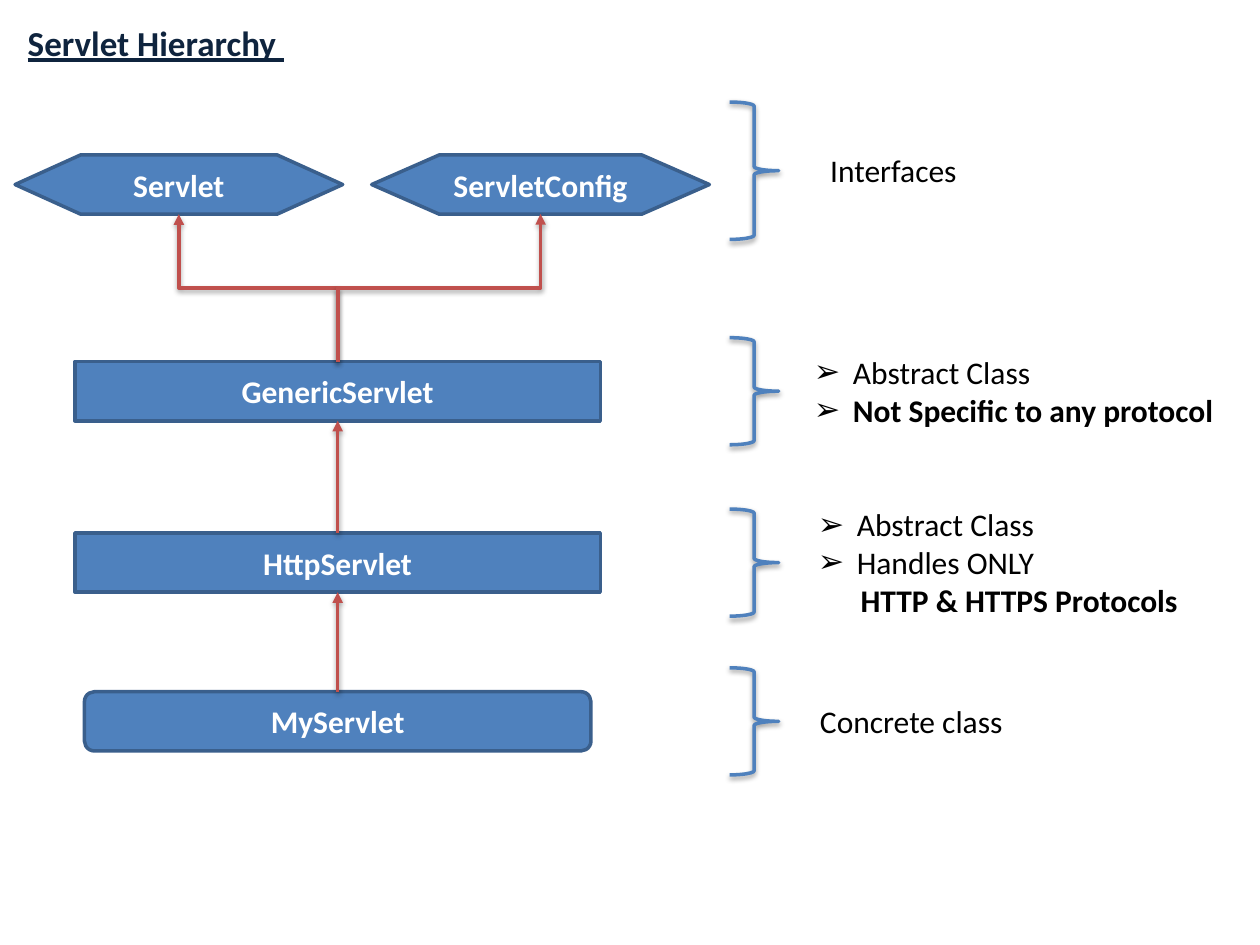
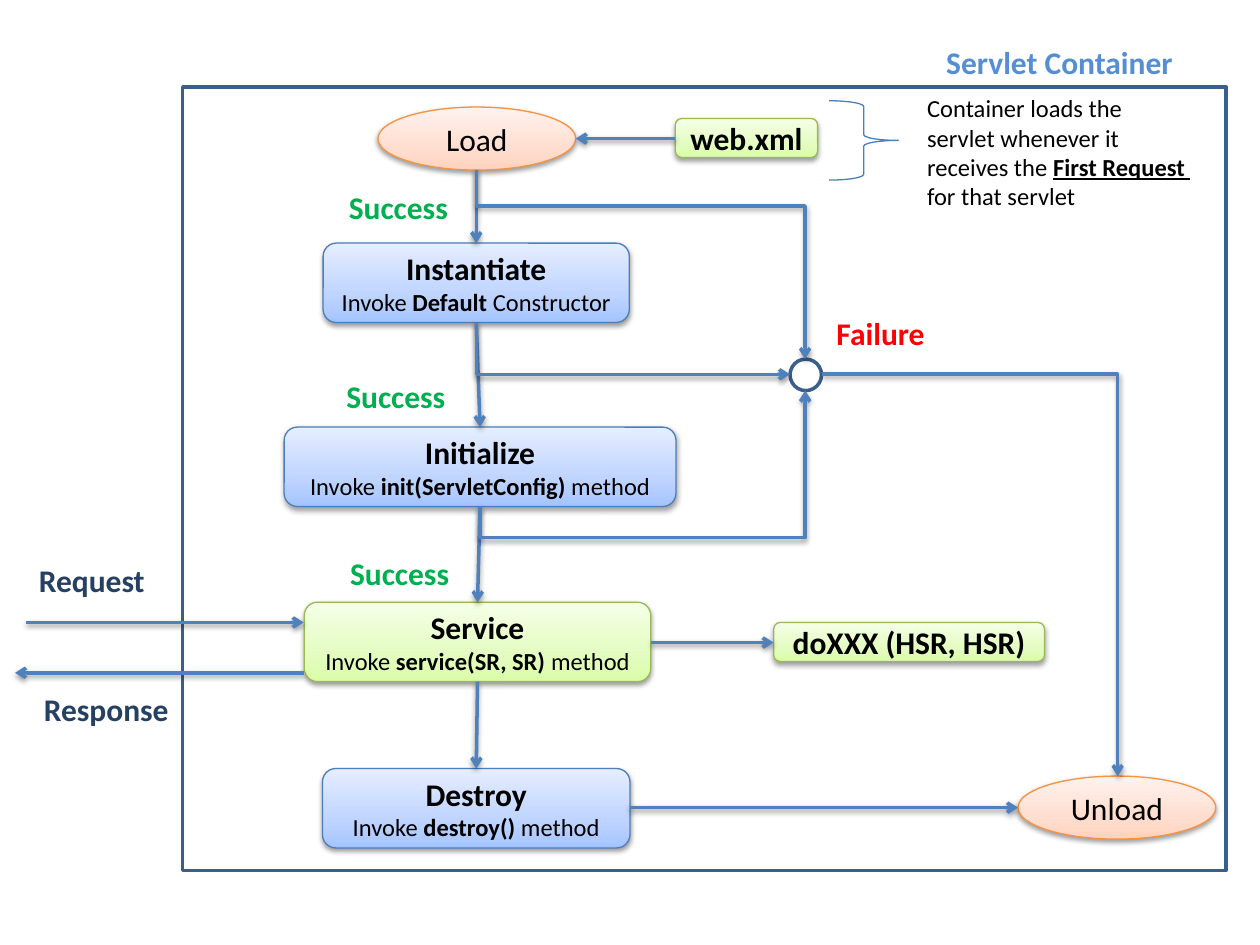
from copy import deepcopy
from dataclasses import dataclass
from typing import NamedTuple

from lxml.etree import SubElement
from pptx import Presentation
from pptx.dml.color import RGBColor
from pptx.enum.shapes import MSO_CONNECTOR, MSO_SHAPE
from pptx.enum.text import MSO_ANCHOR, MSO_AUTO_SIZE, PP_ALIGN
from pptx.oxml.ns import qn
from pptx.util import Inches, Pt

RECT, ROUND, OVAL = MSO_SHAPE.RECTANGLE, MSO_SHAPE.ROUNDED_RECTANGLE, MSO_SHAPE.OVAL
HEX, SOFT = MSO_SHAPE.FLOWCHART_PREPARATION, MSO_SHAPE.FLOWCHART_ALTERNATE_PROCESS
DOT, BRACE = MSO_SHAPE.FLOWCHART_CONNECTOR, MSO_SHAPE.RIGHT_BRACE
LINE, ELBOW = MSO_CONNECTOR.STRAIGHT, MSO_CONNECTOR.ELBOW
LEFT, CENTER = PP_ALIGN.LEFT, PP_ALIGN.CENTER
TOP, MIDDLE = MSO_ANCHOR.TOP, MSO_ANCHOR.MIDDLE
FIXED = MSO_AUTO_SIZE.NONE

# The slide is a grid of 100 columns and 75 rows
COLS, ROWS = 100, 75
CELL = Inches(0.1)


class Box(NamedTuple):
    x: float
    y: float
    w: float
    h: float


class Tint(NamedTuple):
    stops: tuple[str, str, str]
    edge: str


@dataclass(frozen=True)
class Theme:
    font: str = "Calibri"
    head: int = 20
    body: int = 18
    small: int = 14
    thick: float = 2
    thin: float = 0.75
    ink: str = "000000"
    white: str = "FFFFFF"
    navy: str = "0F243E"
    steel: str = "254061"
    sky: str = "558ED5"
    blue: str = "4F81BD"
    edge: str = "3A5F8C"
    red: str = "C0504D"
    good: str = "00B050"
    bad: str = "FF0000"
    cool: Tint = Tint(("A4C4FF", "BFD4FF", "E6EEFF"), "4B7EBC")
    warm: Tint = Tint(("FFD2BD", "FFDED0", "FFF2ED"), "F69240")
    lime: Tint = Tint(("DAFDA7", "E4FCC2", "F5FFE7"), "98B955")


T = Theme()


@dataclass(frozen=True)
class Text:
    """One paragraph; parts between asterisks are bold."""
    words: str
    size: int = T.body
    color: str = T.ink
    under: bool = False


@dataclass(frozen=True)
class Node:
    form: MSO_SHAPE
    box: Box
    fill: str | Tint | None = None
    texts: tuple[Text, ...] = ()
    edge: str = T.edge
    width: float = T.thick
    shade: bool = False


@dataclass(frozen=True)
class Link:
    start: tuple[float, float]
    end: tuple[float, float]
    color: str = T.blue
    tip: str = "arrow"
    bend: float | None = None  # share of the way where the middle leg lies
    corner: str = ""           # "down" or "across": the first of two legs


def cells(*nums: float) -> list[int]:
    return [round(n * CELL) for n in nums]


def rgb(code: str) -> RGBColor:
    return RGBColor.from_string(code)


# Text
def write(para, text: Text, align=LEFT) -> None:
    para.alignment = align
    para.space_before = Pt(0)
    for i, part in enumerate(text.words.split("*")):
        if part:
            run = para.add_run()
            run.text = part
            run.font.bold = i % 2 == 1
            run.font.underline = text.under and i % 2 == 1
    for font in (para.font, *(run.font for run in para.runs)):
        font.name, font.size = T.font, Pt(text.size)
        font.color.rgb = rgb(text.color)


def fill_text(frame, texts, align=LEFT, anchor=TOP, wrap=False) -> None:
    frame.word_wrap, frame.auto_size = wrap, FIXED
    frame.vertical_anchor = anchor
    for i, text in enumerate(texts):
        write(frame.add_paragraph() if i else frame.paragraphs[0], text, align)


def label(slide, box: Box, *texts: Text) -> None:
    fill_text(slide.shapes.add_textbox(*cells(*box)).text_frame, texts)


def place(holder, box: Box) -> None:
    holder.left, holder.top, holder.width, holder.height = cells(*box)


def title(slide, box: Box, text: Text) -> None:
    place(slide.shapes.title, box)
    fill_text(slide.shapes.title.text_frame, [text])


def bullets(holder, box: Box, items: list[str], last: str = "") -> None:
    """A list of marked items, with an optional unmarked line under them."""
    place(holder, box)
    frame = holder.text_frame
    fill_text(frame, [Text(item) for item in items + [last] if item])
    for i, para in enumerate(frame.paragraphs):
        marked = i < len(items)
        props = para._p.get_or_add_pPr()
        props.set("marL", str(Inches(0.31 if marked else 0.34)))
        props.set("indent", str(Inches(-0.31 if marked else 0)))
        mark = SubElement(props, qn("a:buChar" if marked else "a:buNone"))
        if marked:
            mark.set("char", "➢")
        props.find(qn("a:defRPr")).addprevious(mark)


# Shapes and arrows
def shadow(item, on: bool) -> None:
    props = item._element.spPr
    for old in props.findall(qn("a:effectLst")):
        props.remove(old)
    effect = SubElement(props, qn("a:effectLst"))
    if on:
        drop = SubElement(effect, qn("a:outerShdw"), blurRad=str(Pt(3.1)),
                          dist=str(Pt(1.6)), dir="5400000", rotWithShape="0")
        color = SubElement(drop, qn("a:srgbClr"), val=T.ink)
        SubElement(color, qn("a:alpha"), val="38000")


def blend(shape, tint: Tint) -> None:
    shape.fill.gradient()
    shape.fill.gradient_angle = 90
    group = shape._element.spPr.find(".//" + qn("a:gsLst"))
    while len(group) < 3:
        group.append(deepcopy(group[0]))
    for stop, spot, code in zip(shape.fill.gradient_stops, (0, 0.35, 1), tint.stops):
        stop.position, stop.color.rgb = spot, rgb(code)


def draw(slide, node: Node) -> None:
    shape = slide.shapes.add_shape(node.form, *cells(*node.box))
    if isinstance(node.fill, Tint):
        blend(shape, node.fill)
    elif node.fill:
        shape.fill.solid()
        shape.fill.fore_color.rgb = rgb(node.fill)
    else:
        shape.fill.background()
    shape.line.color.rgb, shape.line.width = rgb(node.edge), Pt(node.width)
    shadow(shape, node.shade)
    if node.texts:
        fill_text(shape.text_frame, node.texts, CENTER, MIDDLE)


def join(slide, link: Link) -> None:
    (ax, ay), (bx, by) = link.start, link.end
    bent = link.bend is not None or link.corner
    turned = bent and link.corner != "across"
    if turned:
        # A path that leaves vertically is a level one turned by a quarter
        mx, my = (ax + bx) / 2, (ay + by) / 2
        w, h = abs(by - ay) / 2, abs(bx - ax) / 2
        ends = cells(mx - w, my - h, mx + w, my + h)
    else:
        ends = cells(ax, ay, bx, by)
    line = slide.shapes.add_connector(ELBOW if bent else LINE, *ends)
    props = line._element.spPr
    if turned:
        frame = props.find(qn("a:xfrm"))
        frame.set("rot", "5400000")
        frame.set("flipH", str(int(by < ay)))
        frame.set("flipV", str(int(bx > ax)))
    form = props.find(qn("a:prstGeom"))
    if link.corner:
        form.set("prst", "bentConnector2")
    elif bent:
        SubElement(form.find(qn("a:avLst")), qn("a:gd"), name="adj1",
                   fmla=f"val {round(link.bend * 100000)}")
    line.line.color.rgb, line.line.width = rgb(link.color), Pt(T.thick)
    SubElement(props.find(qn("a:ln")), qn("a:tailEnd"), type=link.tip)
    shadow(line, True)


# Slide 1: the class tree
def tree(slide) -> None:
    title(slide, Box(1.2, 1.2, 33.9, 4.4),
          Text("*Servlet Hierarchy *", T.head, T.navy, True))
    mid, high, roof = 26.8, 4.7, 12.3
    kinds = [("Servlet", HEX, 14.2, roof, 26), ("ServletConfig", HEX, 42.9, roof, 26.8),
             ("GenericServlet", RECT, mid, 28.7, 41.7),
             ("HttpServlet", RECT, mid, 42.3, 41.7),
             ("MyServlet", ROUND, mid, 54.9, 40.2)]
    for name, form, x, y, wide in kinds:
        draw(slide, Node(form, Box(x - wide / 2, y, wide, high), T.blue,
                         (Text(f"*{name}*", color=T.white),)))
    for y, tall in ((8.1, 10.9), (26.8, 8.5), (40.4, 8.5), (53, 8.5)):
        draw(slide, Node(BRACE, Box(57.9, y, 3.9, tall), edge=T.blue, shade=True))

    # Each class points up at what it extends
    tops = [y for _, form, _, y, _ in kinds if form != HEX]
    for x in (14.2, 42.9):
        join(slide, Link((mid, tops[0]), (x, roof + high), T.red, "triangle", 0.5))
    for upper, lower in zip(tops, tops[1:]):
        join(slide, Link((mid, lower), (mid, upper + high), T.red, "triangle"))

    # Notes beside the braces
    label(slide, Box(64.9, 11.5, 15.1, 4), Text("Interfaces"))
    label(slide, Box(64.1, 55.2, 16.7, 4), Text("Concrete class"))
    generic, http = list(slide.placeholders)[1:3]
    bullets(generic, Box(63.6, 27.5, 34.1, 7.1),
            ["Abstract Class", "*Not Specific to any protocol*"])
    bullets(http, Box(63.9, 39.6, 30.9, 10.1),
            ["Abstract Class", "Handles ONLY"], "*HTTP & HTTPS Protocols*")


# Slide 2: the life cycle
def cycle(slide) -> None:
    title(slide, Box(74.1, 2.9, 20.2, 4), Text("*Servlet Container*", color=T.sky))
    draw(slide, Node(RECT, Box(14.5, 6.9, 82.8, 62.2)))

    def tile(form: MSO_SHAPE, box: Box, tint: Tint, *texts: Text) -> None:
        draw(slide, Node(form, box, tint, texts, tint.edge, T.thin, True))

    high = 6.3
    steps = [("Instantiate", "Invoke *Default* Constructor", 37.8, 19.3, 24.3, T.cool),
             ("Initialize", "Invoke *init(ServletConfig)* method", 38.1, 33.9, 31.1, T.cool),
             ("Service", "Invoke *service(SR, SR) *method", 37.9, 47.8, 27.5, T.lime),
             ("Destroy", "Invoke *destroy() *method", 37.8, 61, 24.4, T.cool)]
    for name, call, x, y, wide, tint in steps:
        tile(SOFT, Box(x - wide / 2, y, wide, high), tint,
             Text(f"*{name}*"), Text(call, T.small))
    for name, x, y in (("Load", 30, 8.5), ("Unload", 80.8, 61.6)):
        tile(OVAL, Box(x, y, 15.7, 5), T.warm, Text(name))
    for name, x, y, wide in (("web.xml", 53.6, 9.4, 11.3),
                             ("doXXX (HSR, HSR)", 61.4, 49.4, 21.5)):
        tile(SOFT, Box(x, y, wide, 3.1), T.lime, Text(f"*{name}*"))
    draw(slide, Node(DOT, Box(62.7, 28.5, 2.5, 2.5), T.white))
    draw(slide, Node(BRACE, Box(65.8, 8, 5.5, 6.3), edge=T.cool.edge, width=T.thin))

    # The way down, from Load through every step
    spots = [(37.8, 13.5 - high)] + [(x, y) for _, _, x, y, _, _ in steps]
    for (ax, ay), end in zip(spots, spots[1:]):
        join(slide, Link((ax, ay + high), end))

    # Failures meet at the ring and lead to Unload
    for link in (Link((37.8, 13.5), (63.9, 28.5), bend=0.19),
                 Link((37.8, 25.6), (62.7, 29.7), corner="down"),
                 Link((38.1, 40.2), (63.9, 31), bend=-0.27),
                 Link((65.2, 29.7), (88.7, 61.6), corner="across"),
                 Link((50, 64.1), (80.8, 64.1)), Link((51.7, 51), (61.4, 51)),
                 Link((2.1, 49.4), (24.1, 49.4)), Link((24.1, 53.4), (1.2, 53.4)),
                 Link((53.6, 11), (45.7, 11))):
        join(slide, link)

    # Labels
    for word, x, y, wide, color in (
            ("Success", 26.7, 14.4, 9.9, T.good), ("Success", 26.5, 29.4, 9.9, T.good),
            ("Success", 26.8, 43.5, 9.9, T.good), ("Failure", 65.4, 24.4, 9.1, T.bad),
            ("Request", 2.1, 44, 10.5, T.steel), ("Response", 2.5, 54.3, 12, T.steel)):
        label(slide, Box(x, y, wide, 4), Text(f"*{word}*", color=color))
    label(slide, Box(72.6, 6.9, 23.1, 10.4),
          *(Text(words, T.small, under=True) for words in (
              "Container loads the", "servlet whenever it",
              "receives the *First Request *", "for that servlet")))


deck = Presentation()
deck.slide_width, deck.slide_height = cells(COLS, ROWS)
TWO_LISTS, TITLE_ONLY = 3, 5
for build, layout in ((tree, TWO_LISTS), (cycle, TITLE_ONLY)):
    build(deck.slides.add_slide(deck.slide_layouts[layout]))
deck.save("out.pptx")
